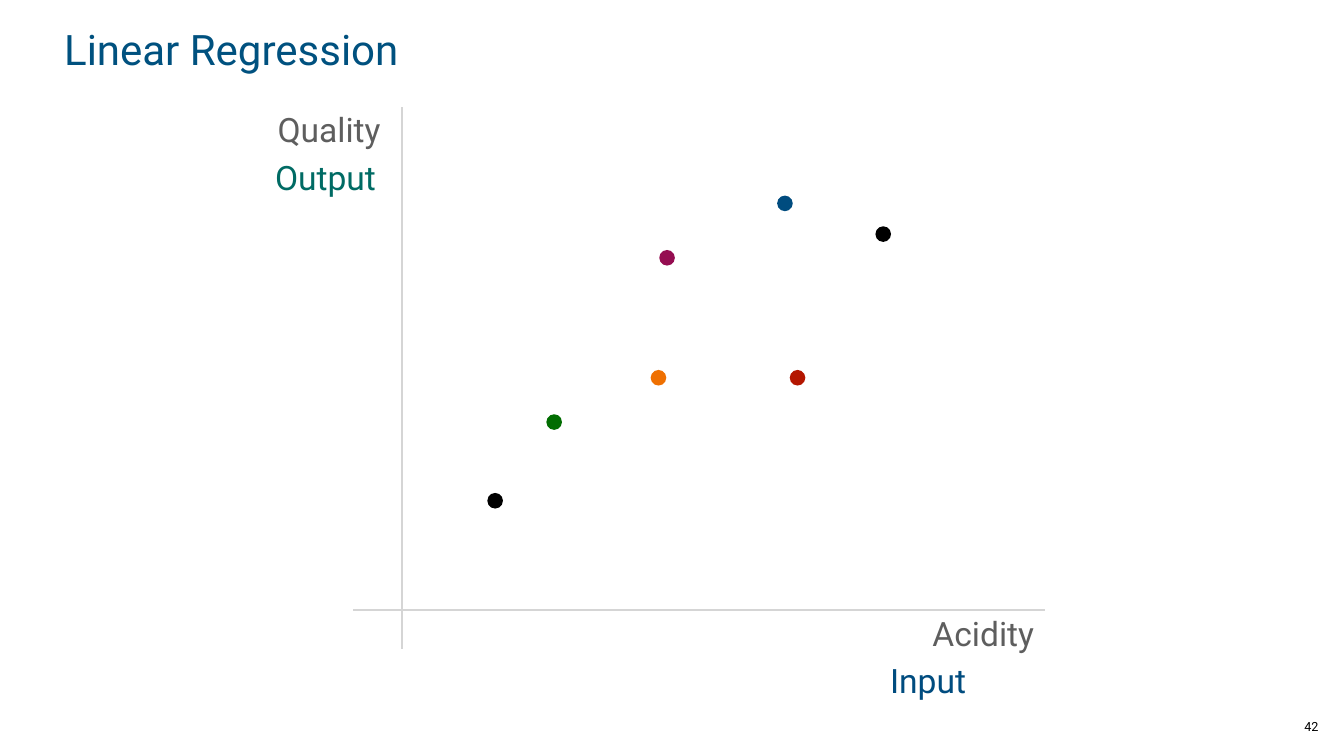
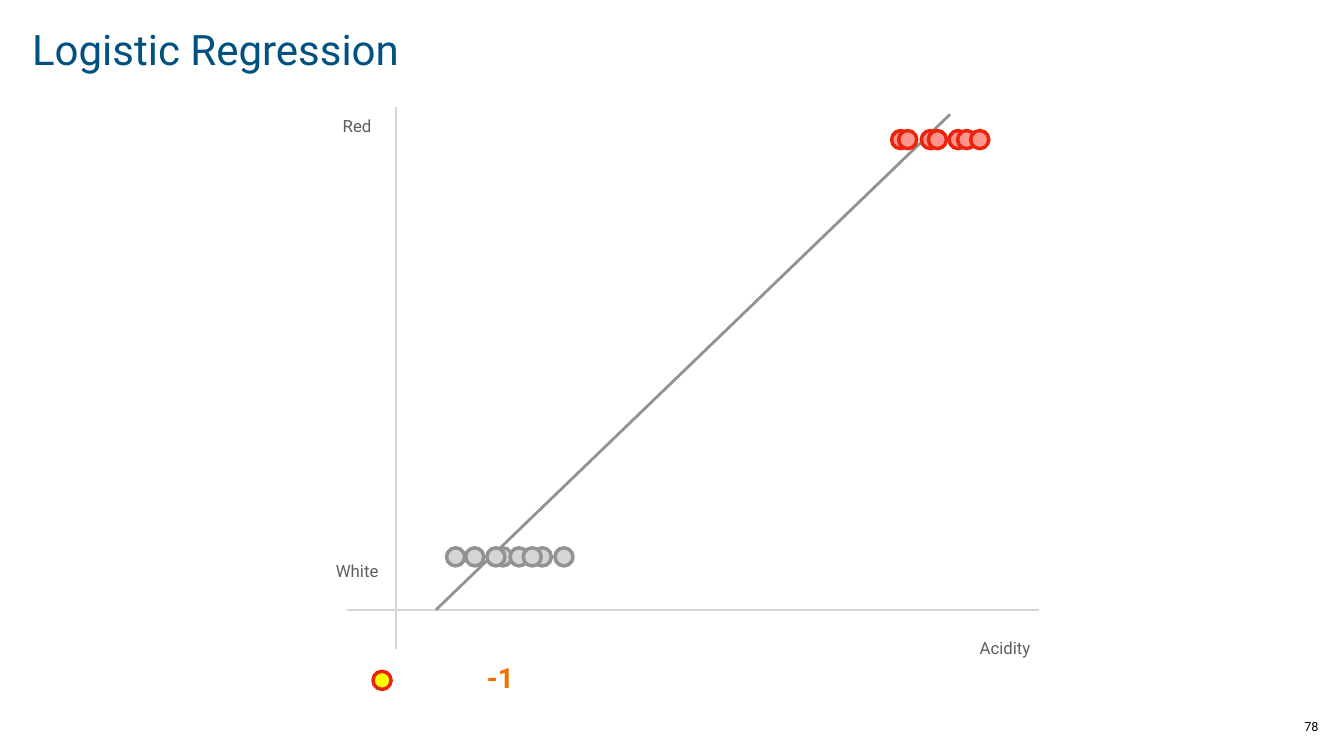
from pptx import Presentation
from pptx.dml.color import RGBColor
from pptx.enum.shapes import MSO_CONNECTOR, MSO_SHAPE
from pptx.enum.text import MSO_ANCHOR, MSO_AUTO_SIZE, PP_ALIGN
from pptx.oxml.ns import qn
from pptx.util import Pt
from lxml.etree import SubElement

# Shared look
FONT = "Roboto"
TITLE_BLUE = "00517F"
INPUT_BLUE = "004C7F"
OUTPUT_TEAL = "006B64"
ORANGE = "EF7001"
BLACK = "000000"
LABEL_GRAY = "5E5E5E"
LINE_GRAY = "929292"
AXIS_GRAY = "D5D5D5"
WINE_RED = "EB220C"
INSET = 4

# Shared geometry
BASELINE = 871.2
POINT_SIZE = 22.3
WINE_SIZE = 25.9

# Linear regression samples: left, top, colour
SAMPLES = [
    (929.5, 528.5, ORANGE),
    (941.8, 357.1, "950D51"),
    (1128.2, 528.5, "B41600"),
    (696.2, 704.2, BLACK),
    (780.5, 591.8, "016D01"),
    (1110.2, 279.4, INPUT_BLUE),
    (1250.6, 323.3, BLACK),
]

# Logistic regression samples: left edges per class, back to front
WHITE_WINES = [637.9, 665.3, 705.6, 695.5, 792.7, 728.6, 761.8, 747.4]
RED_WINES = [1273.7, 1355.8, 1283.8, 1316.2, 1326.2, 1368, 1386.7]
WHITE_TOP = 782.6
RED_TOP = 186.5


def rgb(value):
    return RGBColor.from_string(value)


def write(frame, text, size, color, align=PP_ALIGN.CENTER,
          anchor=MSO_ANCHOR.MIDDLE, bold=False):
    frame.margin_left = frame.margin_right = Pt(INSET)
    frame.margin_top = frame.margin_bottom = Pt(INSET)
    frame.vertical_anchor = anchor
    paragraph = frame.paragraphs[0]
    paragraph.alignment = align
    run = paragraph.add_run()
    run.text = text
    run.font.name = FONT
    run.font.size = Pt(size)
    run.font.bold = bold
    run.font.color.rgb = rgb(color)


def add_label(slide, text, left, top, width, height, size,
              color=LABEL_GRAY, **style):
    label = slide.shapes.add_textbox(Pt(left), Pt(top), Pt(width), Pt(height))
    label.text_frame.word_wrap = False
    write(label.text_frame, text, size, color, **style)


def add_line(slide, x1, y1, x2, y2, color, width):
    line = slide.shapes.add_connector(
        MSO_CONNECTOR.STRAIGHT, Pt(x1), Pt(y1), Pt(x2), Pt(y2))
    line.line.color.rgb = rgb(color)
    line.line.width = Pt(width)
    properties = line._element.find(qn("p:spPr"))
    SubElement(properties, qn("a:effectLst"))


def add_axes(slide, origin):
    add_line(slide, origin, 926.6, origin, 153.4, AXIS_GRAY, 3)
    add_line(slide, origin + 918.4, BASELINE, origin - 69.1, BASELINE, AXIS_GRAY, 3)


def add_dot(slide, left, top, size, fill, outline=None):
    dot = slide.shapes.add_shape(
        MSO_SHAPE.OVAL, Pt(left), Pt(top), Pt(size), Pt(size))
    dot.shadow.inherit = False
    dot.fill.solid()
    dot.fill.fore_color.rgb = rgb(fill)
    if outline:
        dot.line.color.rgb = rgb(outline)
        dot.line.width = Pt(5)
    else:
        dot.line.fill.background()


def add_slide(deck, title_text, title_width, title_align, number):
    slide = deck.slides.add_slide(deck.slide_layouts[5])
    title = slide.shapes.title
    title.left, title.top = Pt(41.8), Pt(29.5)
    title.width, title.height = Pt(title_width), Pt(80.6)
    title.text_frame.word_wrap = True
    title.text_frame.auto_size = MSO_AUTO_SIZE.NONE
    write(title.text_frame, title_text, 60, TITLE_BLUE, align=title_align)
    add_label(slide, number, 1859, 1022.4, 28.8, 30, 18, BLACK,
              anchor=MSO_ANCHOR.BOTTOM)
    return slide


def build_linear(deck):
    slide = add_slide(deck, "Linear Regression", 577.4, PP_ALIGN.CENTER, "42")
    add_axes(slide, 573.8)

    # Axis names and their roles
    add_label(slide, "Acidity", 1316.2, 871.9, 177.1, 66.2, 48)
    add_label(slide, "Quality", 380.2, 151.2, 180, 66.2, 48)
    add_label(slide, "Input", 1250.6, 938.2, 150.5, 66.2, 48, INPUT_BLUE)
    add_label(slide, "Output", 363.6, 220.3, 203, 66.2, 48, OUTPUT_TEAL)

    for left, top, color in SAMPLES:
        add_dot(slide, left, top, POINT_SIZE, color)


def build_logistic(deck):
    slide = add_slide(deck, "Logistic Regression", 1408.3, PP_ALIGN.LEFT, "78")
    add_axes(slide, 565.2)

    # Fitted line
    add_line(slide, 622.8, BASELINE, 1357.2, 163.4, LINE_GRAY, 4)

    # Class and axis names
    add_label(slide, "Red", 483.1, 162, 54, 36, 24)
    add_label(slide, "Acidity", 1393.2, 907.2, 85, 36, 24)
    add_label(slide, "White", 473.8, 797.8, 72.7, 36, 24)

    # The two wine classes
    for left in WHITE_WINES:
        add_dot(slide, left, WHITE_TOP, WINE_SIZE, AXIS_GRAY, LINE_GRAY)
    for left in RED_WINES:
        add_dot(slide, left, RED_TOP, WINE_SIZE, "FE958C", WINE_RED)

    # Sample beyond the axis
    add_label(slide, "-1", 669.6, 939.6, 90.7, 56.9, 40, ORANGE, bold=True)
    add_dot(slide, 532.8, 959, WINE_SIZE, "FFFF00", WINE_RED)


def main():
    deck = Presentation()
    deck.slide_width, deck.slide_height = Pt(1920), Pt(1080)
    build_linear(deck)
    build_logistic(deck)
    deck.save("out.pptx")


if __name__ == "__main__":
    main()
